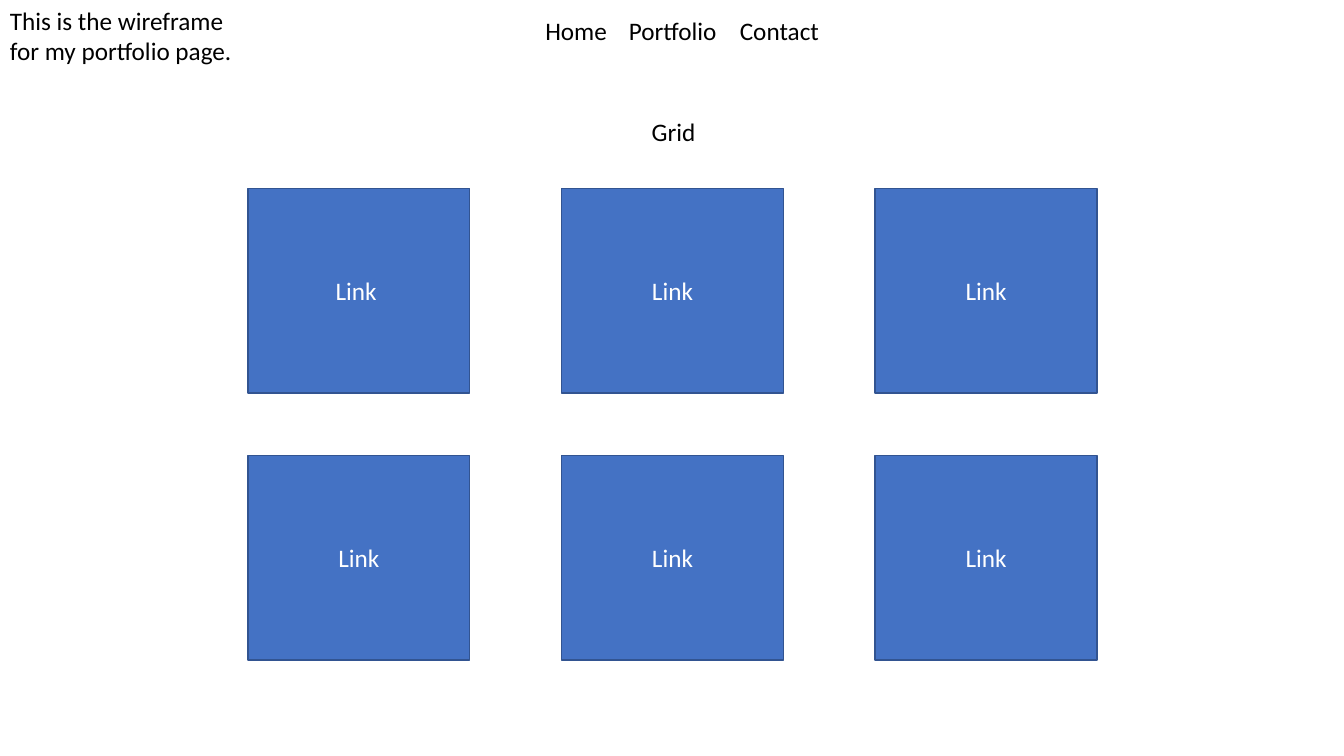
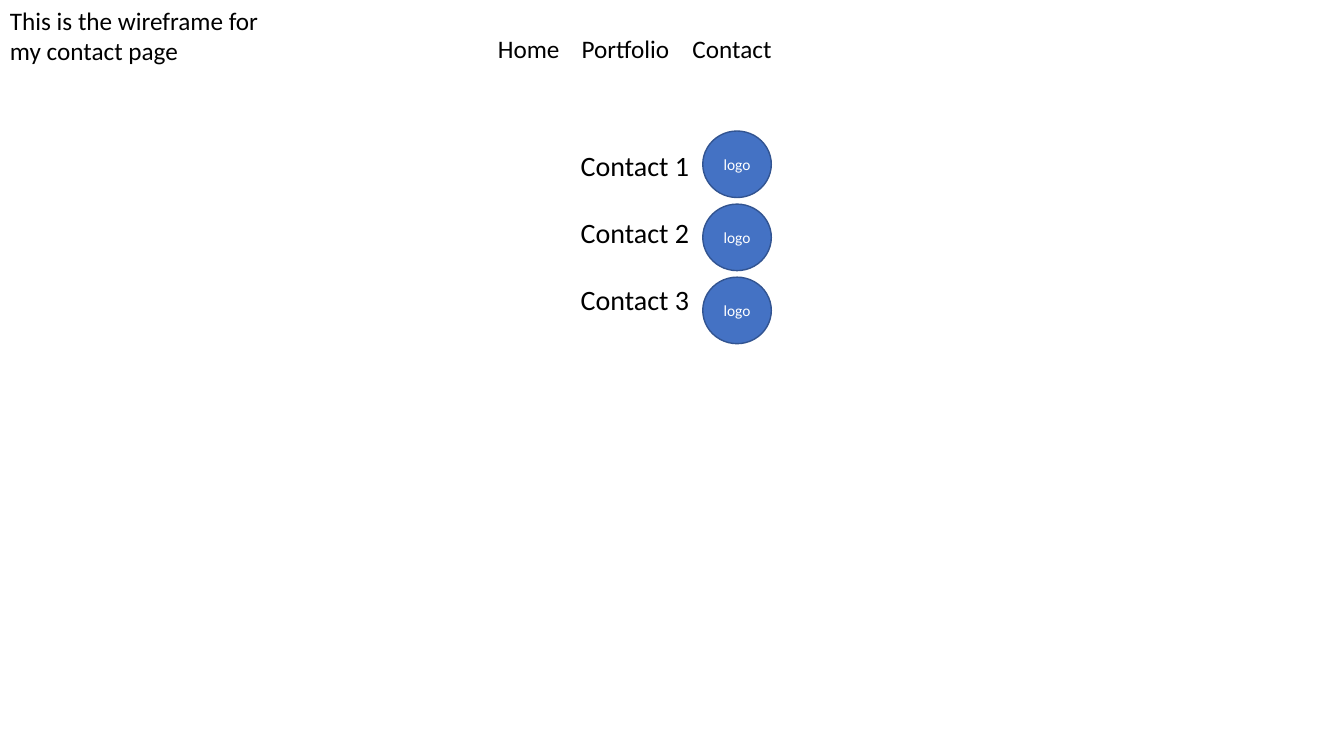
from lxml.etree import SubElement
from pptx import Presentation
from pptx.dml.color import RGBColor
from pptx.enum.shapes import MSO_SHAPE as SHAPE
from pptx.enum.text import MSO_ANCHOR as ANCHOR, PP_ALIGN as ALIGN
from pptx.oxml.ns import qn
from pptx.util import Inches, Pt

FONT = "Calibri"
COLORS = {"fill": "4472C4", "line": "325491", "text": "000000", "label": "FFFFFF"}
NAV = ["Home", "Portfolio", "Contact"]
NAV_TABS = [0.83, 1.93]
LINKS = [["Link ", "Link", "Link"], ["Link", "Link", "Link"]]
CONTACTS = [("Contact 1", "logo"), ("Contact 2", "logo"), ("Contact 3", "logo")]
PAGES = [
    ("This is the wireframe for my portfolio page.", 2.56, (5.31, 0.1, 2.97, 0.4)),
    ("This is the wireframe for my contact page", 2.68, (4.84, 0.28, 5.57, 0.4)),
]


def rgb(name):
    return RGBColor.from_string(COLORS[name])


def write(p, text, size, color, align):
    p.alignment = align
    r = p.add_run()
    r.text = text
    r.font.name = FONT
    r.font.size = Pt(size)
    r.font.color.rgb = rgb(color)


def add_text(s, box, lines, size=18, align=ALIGN.LEFT, gap=0):
    tf = s.shapes.add_textbox(*map(Inches, box)).text_frame
    tf.word_wrap = True
    for i, line in enumerate(lines):
        p = tf.add_paragraph() if i else tf.paragraphs[0]
        write(p, line, size, "text", align)
        if i and gap:
            p.space_before = Pt(gap)
    return tf


def add_tile(s, kind, box, label, size):
    sp = s.shapes.add_shape(kind, *map(Inches, box))
    sp.shadow.inherit = False
    sp.fill.solid()
    sp.fill.fore_color.rgb = rgb("fill")
    sp.line.color.rgb = rgb("line")
    sp.line.width = Pt(1)
    tf = sp.text_frame
    tf.word_wrap = False
    tf.vertical_anchor = ANCHOR.MIDDLE
    write(tf.paragraphs[0], label, size, "label", ALIGN.CENTER)


def add_nav(s, box):
    p = add_text(s, box, ["\t".join(NAV)]).paragraphs[0]
    tabs = SubElement(p._p.get_or_add_pPr(), qn("a:tabLst"))
    for pos in NAV_TABS:
        SubElement(tabs, qn("a:tab"), pos=str(Inches(pos)), algn="l")


def add_page(prs, note, note_width, nav_box):
    s = prs.slides.add_slide(prs.slide_layouts[6])
    add_text(s, (0, 0, note_width, 0.71), [note])
    add_nav(s, nav_box)
    return s


prs = Presentation()
prs.slide_width, prs.slide_height = Inches(13.33), Inches(7.5)
portfolio, contact = [add_page(prs, *page) for page in PAGES]

add_text(portfolio, (5.44, 1.11, 2.48, 0.4), ["Grid"], align=ALIGN.CENTER)
for row, labels in enumerate(LINKS):
    for col, label in enumerate(labels):
        box = (2.46 + 3.11 * col, 1.87 + 2.65 * row, 2.2, 2.03)
        add_tile(portfolio, SHAPE.RECTANGLE, box, label, 18)

add_text(contact, (5.66, 1.42, 1.32, 1.78), [name for name, _ in CONTACTS], 20, gap=24)
for i, (_, logo) in enumerate(CONTACTS):
    add_tile(contact, SHAPE.OVAL, (6.97, 1.3 + 0.725 * i, 0.68, 0.66), logo, 11)

prs.save("out.pptx")
